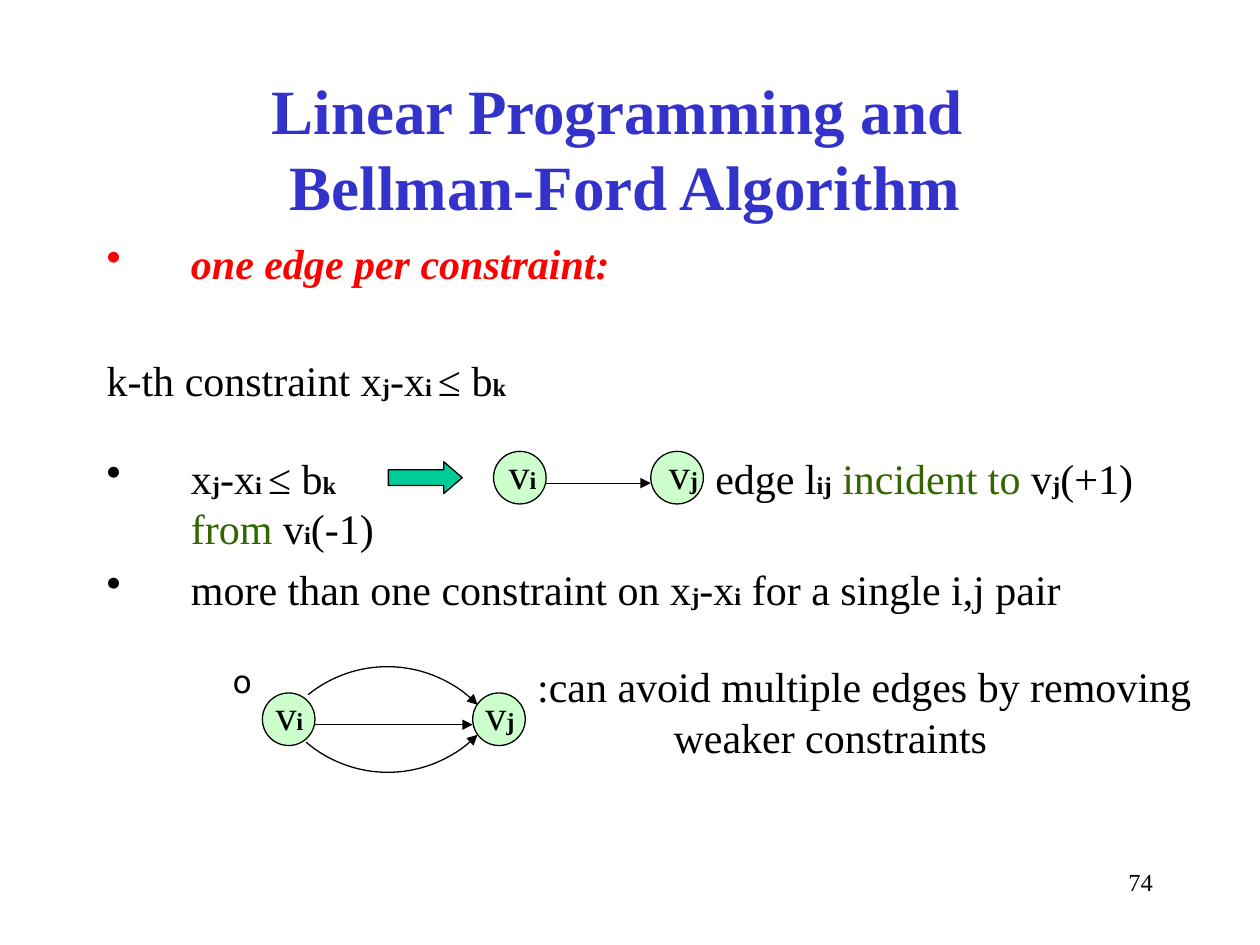
from lxml.etree import SubElement
from pptx import Presentation
from pptx.dml.color import RGBColor
from pptx.enum.shapes import MSO_CONNECTOR, MSO_SHAPE
from pptx.enum.text import MSO_ANCHOR, PP_ALIGN
from pptx.oxml.ns import qn
from pptx.util import Cm, Pt

FONT = "Times New Roman"
BLACK, RED, GREEN, BLUE = "000000", "FF0000", "336600", "3333CC"


def color(value):
    return RGBColor.from_string(value)


def write(paragraph, text, size=24, fill=BLACK, bold=False, italic=False,
          align=PP_ALIGN.LEFT, before=0):
    """Add runs; _x_ marks a small bold index, *x* marks green text."""
    paragraph.alignment = align
    paragraph.space_before = Pt(before)
    for green, chunk in enumerate(text.split("*")):
        for index, part in enumerate(chunk.split("_")):
            if not part:
                continue
            run = paragraph.add_run()
            run.text = part
            font = run.font
            font.name = FONT
            font.size = Pt(14 if index % 2 else size)
            font.bold = bold or bool(index % 2)
            font.italic = italic
            font.color.rgb = color(GREEN if green % 2 else fill)


presentation = Presentation()
presentation.slide_width, presentation.slide_height = Cm(25.4), Cm(19.05)
slide = presentation.slides.add_slide(presentation.slide_layouts[5])
shapes = slide.shapes

# Title
title = shapes.title
title.left, title.top, title.width, title.height = Cm(18), Cm(1.27), Cm(18), Cm(3.39)
title.left = Cm(3.6)
title.text_frame.vertical_anchor = MSO_ANCHOR.MIDDLE
paragraph = title.text_frame.paragraphs[0]
heading = dict(size=36, fill=BLUE, bold=True, align=PP_ALIGN.CENTER)
write(paragraph, "Linear Programming and ", **heading)
paragraph.add_line_break()
write(paragraph, "Bellman-Ford Algorithm", **heading)

# Page number
number = shapes.add_textbox(Cm(18.2), Cm(17.36), Cm(5.29), Cm(1.27))
number.text_frame.word_wrap = True
write(number.text_frame.paragraphs[0], "74", size=14, align=PP_ALIGN.RIGHT)

# Body: text lines, bullet, left margin, hanging indent, tab stops, format
body = shapes.add_textbox(Cm(1.9), Cm(4.66), Cm(22.65), Cm(12.28))
body.text_frame.word_wrap = True
items = [
    (["one edge per constraint:"], "•", 1.7, 1.7, [],
     dict(before=6, fill=RED, bold=True, italic=True)),
    (["k-th constraint x_j_-x_i _≤ b_k_"], None, 1.7, 1.7, [], dict(before=38.3)),
    (["x_j_-x_i _≤ b_k_\tedge l_ij_ *incident to* v_j_(+1) *from *v_i_(-1)"],
     "•", 1.7, 1.7, [12.27], dict(before=26.8)),
    (["more than one constraint on x_j_-x_i_ for a single i,j pair"],
     "•", 1.7, 1.7, [], dict(before=6)),
    (["\t:can avoid multiple edges by removing", "\t\tweaker constraints"],
     "o", 3.81, 1.27, [8.68, 11.43], dict(before=26.8)),
]
for position, (lines, bullet, margin, hanging, stops, style) in enumerate(items):
    frame = body.text_frame
    paragraph = frame.add_paragraph() if position else frame.paragraphs[0]
    for line_number, line in enumerate(lines):
        if line_number:
            paragraph.add_line_break()
        write(paragraph, line, **style)
    properties = paragraph._p.get_or_add_pPr()
    properties.set("marL", str(Cm(margin)))
    properties.set("indent", str(-Cm(hanging)))
    if bullet:
        if bullet == "o":
            SubElement(properties, qn("a:buSzPct"), val="75000")
        SubElement(properties, qn("a:buChar"), char=bullet)
    if stops:
        tabs = SubElement(properties, qn("a:tabLst"))
        for stop in stops:
            SubElement(tabs, qn("a:tab"), pos=str(Cm(stop)), algn="l")

# Implication arrow and graph nodes
NODE = 1.06
outlines = [(MSO_SHAPE.RIGHT_ARROW, 7.83, 9.31, 1.49, 0.64, "00CC99")]
outlines += [(MSO_SHAPE.OVAL, left, top, NODE, NODE, "CCFFCC")
             for left, top in [(9.95, 9.1), (13.12, 9.1), (5.29, 13.97), (9.53, 13.97)]]
for kind, left, top, width, height, fill in outlines:
    shape = shapes.add_shape(kind, Cm(left), Cm(top), Cm(width), Cm(height))
    shape.shadow.inherit = False
    shape.fill.solid()
    shape.fill.fore_color.rgb = color(fill)
    shape.line.color.rgb = color(BLACK)
    shape.line.width = Pt(0.75)
    if kind == MSO_SHAPE.RIGHT_ARROW:
        shape.adjustments[1] = 0.58

for name, left, top, width in [("i", 9.74, 8.89, 1.59), ("j", 13.12, 8.89, 1.32),
                               ("i", 5.3, 13.76, 1.07), ("j", 9.32, 13.76, 1.52)]:
    label = shapes.add_textbox(Cm(left), Cm(top), Cm(width), Cm(1.27))
    label.text_frame.word_wrap = width > 1.1
    write(label.text_frame.paragraphs[0], f"v_{name}_", align=PP_ALIGN.CENTER, before=3.5)

# Edges: straight ones, then arcs of one circle radius
edges = []
for start, end, height in [(11.01, 13.12, 9.74), (6.35, 9.53, 14.61)]:
    edge = shapes.add_connector(MSO_CONNECTOR.STRAIGHT, Cm(start), Cm(height),
                                Cm(end), Cm(height))
    SubElement(edge._element.spPr, qn("a:effectLst"))
    edges.append((edge, "a:tailEnd"))

RADIUS = 2.54
for center_x, center_y, first, last, end in [(7.81, 15.98, 231, 315.8, "a:tailEnd"),
                                             (7.82, 13.03, 44.6, 130.5, "a:headEnd")]:
    arc = shapes.add_shape(MSO_SHAPE.ARC, Cm(center_x - RADIUS), Cm(center_y - RADIUS),
                           Cm(2 * RADIUS), Cm(2 * RADIUS))
    arc.shadow.inherit = False
    arc.fill.background()
    # Angles are stored in 60000ths of a degree, adjustments in 100000ths
    arc.adjustments[0], arc.adjustments[1] = first * 0.6, last * 0.6
    edges.append((arc, end))

for edge, end in edges:
    edge.line.color.rgb = color(BLACK)
    edge.line.width = Pt(0.75)
    SubElement(edge.line._get_or_add_ln(), qn(end), type="triangle")

presentation.save("out.pptx")
